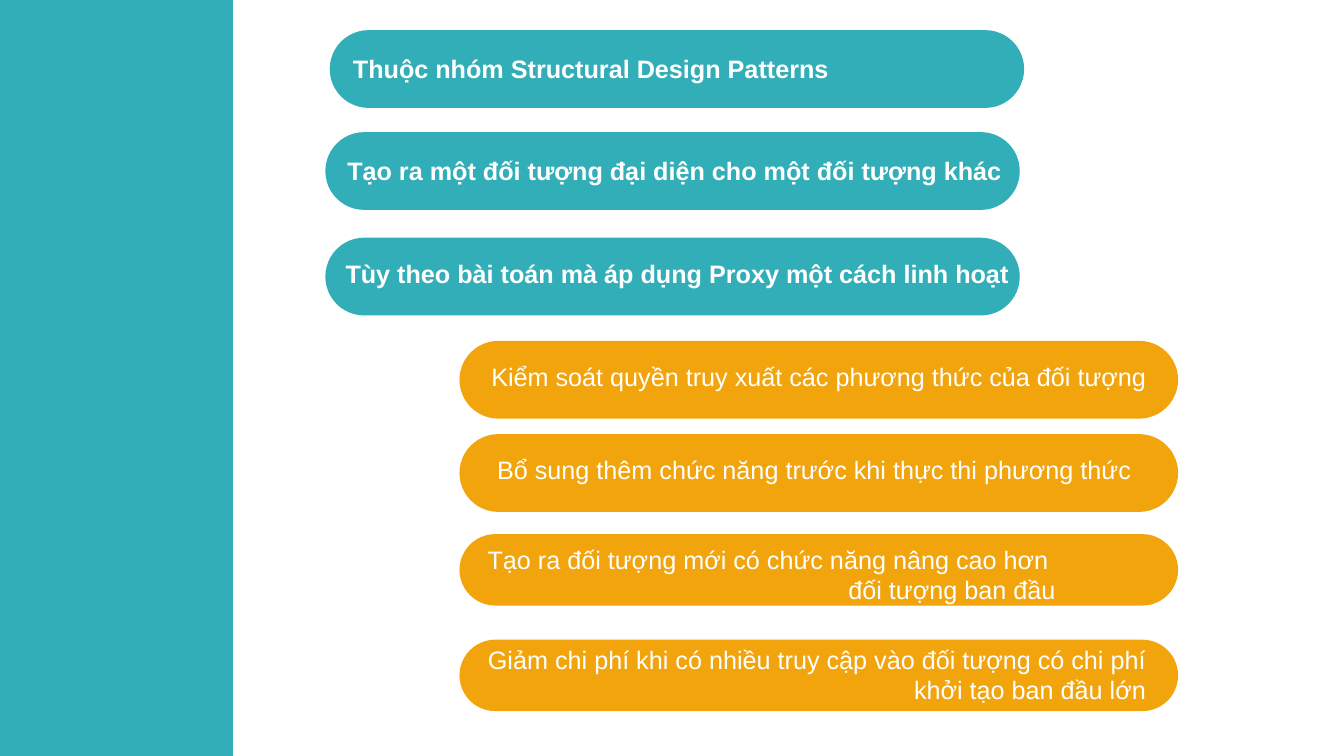
import pptx
import pptx.util
import pptx.dml.color
import pptx.enum.shapes
import pptx.enum.text

Cm = pptx.util.Cm
Kind = pptx.enum.shapes.MSO_SHAPE
COLORS = {"teal": "32AEB8", "amber": "F2A40D", "white": "FFFFFF"}

# Content: wording, pill (left, top), text box (left, top, width)
POINTS = [
    ("Thuộc nhóm Structural Design Patterns",
     (8.31, 0.76), (6.38, 1.22, 14.76)),
    ("Tạo ra một đối tượng đại diện cho một đối tượng khác",
     (8.2, 3.33), (4.98, 3.78, 20.52)),
    ("Tùy theo bài toán mà áp dụng Proxy một cách linh hoạt",
     (8.2, 5.99), (8.18, 6.38, 17.5)),
]
USES = [
    ("Kiểm soát quyền truy xuất các phương thức của đối tượng",
     (11.58, 8.59), (11.99, 8.97, 17.15)),
    ("Bổ sung thêm chức năng trước khi thực thi phương thức",
     (11.58, 10.94), (10.95, 11.33, 17.81)),
    ("Tạo ra đối tượng mới có chức năng nâng cao hơn \nđối tượng ban đầu",
     (11.58, 13.46), (9.58, 13.59, 17.27)),
    ("Giảm chi phí khi có nhiều truy cập vào đối tượng có chi phí "
     "khởi tạo ban đầu lớn",
     (11.58, 16.12), (11.38, 16.1, 17.75)),
]
# Group: rows, colour, pill width, bold, pill heights
GROUPS = [
    (POINTS, "teal", 17.5, True, (1.96, 1.96, 1.96)),
    (USES, "amber", 18.11, False, (1.96, 1.96, 1.8, 1.8)),
]
LINE = 1.02
DOUBLE = 1.8


def rgb(name):
    return pptx.dml.color.RGBColor.from_string(COLORS[name])


def add_block(slide, kind, box, color):
    block = slide.shapes.add_shape(kind, *map(Cm, box))
    block.shadow.inherit = False
    block.fill.solid()
    block.fill.fore_color.rgb = rgb(color)
    block.line.fill.background()
    return block


def add_label(slide, words, box, bold):
    frame = slide.shapes.add_textbox(*map(Cm, box)).text_frame
    frame.word_wrap = True
    frame.auto_size = pptx.enum.text.MSO_AUTO_SIZE.SHAPE_TO_FIT_TEXT
    para = frame.paragraphs[0]
    para.text = words
    para.alignment = pptx.enum.text.PP_ALIGN.RIGHT
    font = para.font
    font.name = "Arial"
    font.size = pptx.util.Pt(18)
    font.bold = bold
    font.color.rgb = rgb("white")


def main():
    deck = pptx.Presentation()
    deck.slide_width, deck.slide_height = Cm(33.87), Cm(19.05)
    slide = deck.slides.add_slide(deck.slide_layouts[6])

    # Side band
    add_block(slide, Kind.RECTANGLE, (0, 0, 5.87, 19.05), "teal")

    # Pills with their labels
    for rows, color, width, bold, highs in GROUPS:
        for (words, spot, (left, top, span)), high in zip(rows, highs):
            pill = add_block(slide, Kind.ROUNDED_RECTANGLE,
                             (*spot, width, high), color)
            pill.adjustments[0] = 0.5
            tall = LINE if high > DOUBLE else DOUBLE
            add_label(slide, words, (left, top, span, tall), bold)

    deck.save("out.pptx")


if __name__ == "__main__":
    main()
